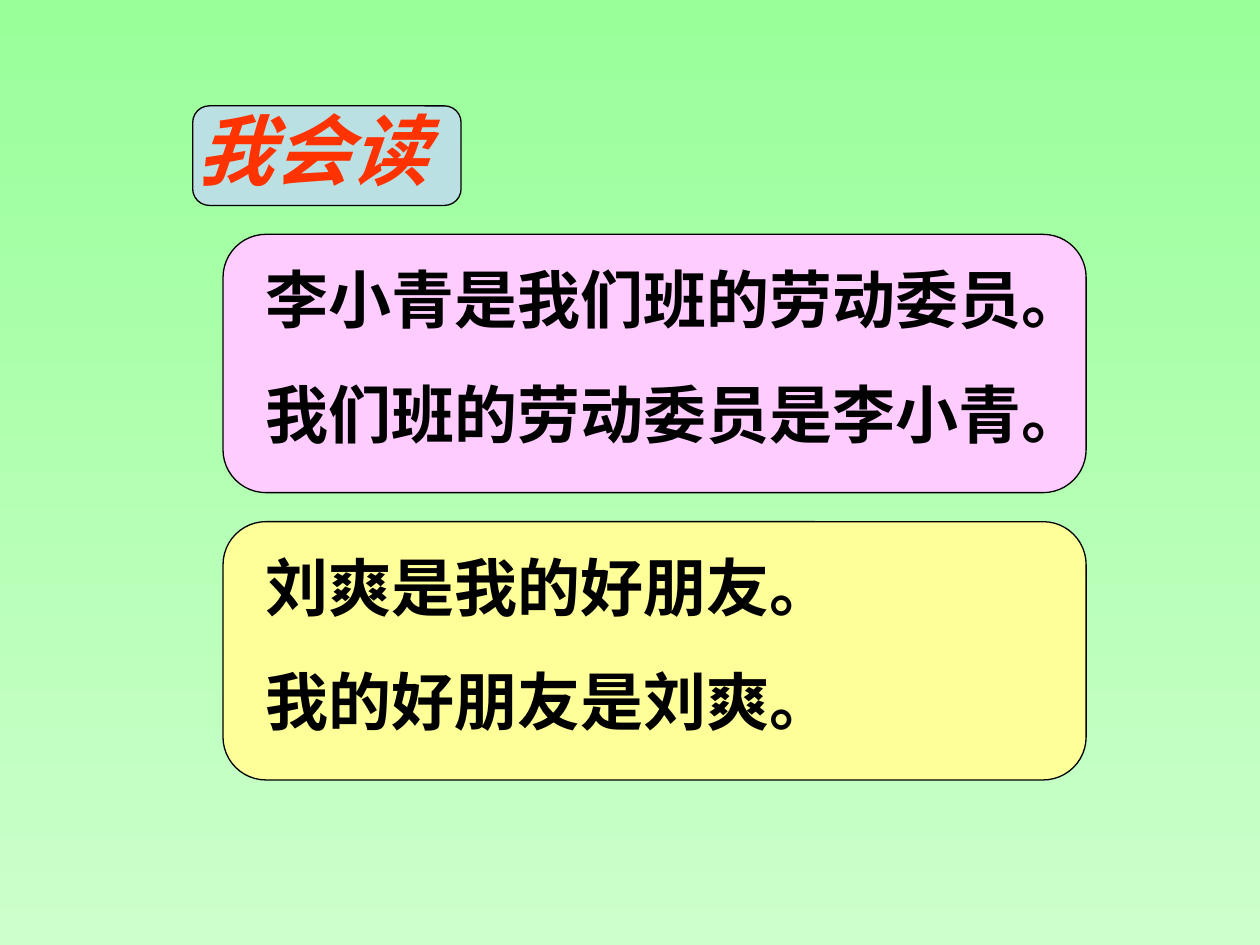
from dataclasses import dataclass

from pptx import Presentation
from pptx.dml.color import RGBColor
from pptx.enum.shapes import MSO_SHAPE
from pptx.enum.text import MSO_ANCHOR, MSO_AUTO_SIZE, PP_ALIGN
from pptx.shapes.autoshape import Shape
from pptx.slide import Slide
from pptx.text.text import TextFrame
from pptx.util import Inches, Pt


@dataclass(frozen=True)
class Theme:
    font: str = "Arial"
    title_size: int = 44
    body_size: int = 36
    body_gap: float = 22.5
    line_width: float = 0.75
    background_top: str = "99FF99"
    background_bottom: str = "CCFFCC"
    title: str = "FF3300"
    ink: str = "000000"
    badge: str = "BBE0E3"


@dataclass(frozen=True)
class Box:
    """A rectangle in inches."""
    left: float
    top: float
    width: float
    height: float

    def place(self) -> tuple:
        return tuple(Inches(n) for n in (self.left, self.top, self.width, self.height))


@dataclass(frozen=True)
class Panel:
    sentences: tuple[str, ...]
    fill: str


THEME = Theme()
TITLE_BOX = Box(1.46, 0.76, 2.13, 0.84)
BADGE_BOX = Box(1.53, 0.84, 2.13, 0.79)
FIRST_PANEL = Box(1.77, 1.86, 6.85, 2.05)
PANEL_PITCH = 2.28
TEXT_INDENT, TEXT_DROP = 0.24, 0.16
TEXT_WIDTH, TEXT_HEIGHT = 6.77, 1.62
PANELS = (
    Panel(("李小青是我们班的劳动委员。", "我们班的劳动委员是李小青。"), "FFCCFF"),
    Panel(("刘爽是我的好朋友。", "我的好朋友是刘爽。"), "FFFF99"),
)


def write_text(frame: TextFrame, lines: tuple[str, ...], *, size: float, color: str,
               italic: bool = False, gap: float = 0) -> None:
    frame.word_wrap = True
    frame.auto_size = MSO_AUTO_SIZE.NONE
    frame.vertical_anchor = MSO_ANCHOR.TOP
    for index, line in enumerate(lines):
        paragraph = frame.paragraphs[0] if index == 0 else frame.add_paragraph()
        paragraph.alignment = PP_ALIGN.LEFT
        paragraph.space_before = Pt(gap if index else 0)
        run = paragraph.add_run()
        run.text = line
        run.font.name = THEME.font
        run.font.size = Pt(size)
        run.font.bold = True
        run.font.italic = italic
        run.font.color.rgb = RGBColor.from_string(color)


def add_rounded_box(slide: Slide, box: Box, fill: str) -> Shape:
    shape = slide.shapes.add_shape(MSO_SHAPE.ROUNDED_RECTANGLE, *box.place())
    shape.shadow.inherit = False
    shape.fill.solid()
    shape.fill.fore_color.rgb = RGBColor.from_string(fill)
    shape.line.color.rgb = RGBColor.from_string(THEME.ink)
    shape.line.width = Pt(THEME.line_width)
    return shape


def paint_background(slide: Slide) -> None:
    fill = slide.background.fill
    fill.gradient()
    fill.gradient_angle = 270
    colors = (THEME.background_top, THEME.background_bottom)
    for stop, position, color in zip(fill.gradient_stops, (0, 1), colors):
        stop.position = position
        stop.color.rgb = RGBColor.from_string(color)


def add_title(slide: Slide, text: str) -> None:
    title = slide.shapes.title
    title.left, title.top, title.width, title.height = TITLE_BOX.place()
    write_text(title.text_frame, (text,), size=THEME.title_size,
               color=THEME.title, italic=True)
    badge = add_rounded_box(slide, BADGE_BOX, THEME.badge)
    title.element.addprevious(badge.element)


def add_panel(slide: Slide, panel: Panel, row: int) -> None:
    top = FIRST_PANEL.top + row * PANEL_PITCH
    box = Box(FIRST_PANEL.left, top, FIRST_PANEL.width, FIRST_PANEL.height)
    add_rounded_box(slide, box, panel.fill)
    text_box = Box(box.left + TEXT_INDENT, top + TEXT_DROP, TEXT_WIDTH, TEXT_HEIGHT)
    sentences = slide.shapes.add_textbox(*text_box.place())
    write_text(sentences.text_frame, panel.sentences, size=THEME.body_size,
               color=THEME.ink, gap=THEME.body_gap)


def main() -> None:
    presentation = Presentation()
    presentation.slide_width, presentation.slide_height = Inches(10), Inches(7.5)
    title_only = presentation.slide_layouts.get_by_name("Title Only")
    slide = presentation.slides.add_slide(title_only)
    paint_background(slide)
    add_title(slide, "我会读")
    for row, panel in enumerate(PANELS):
        add_panel(slide, panel, row)
    presentation.save("out.pptx")


if __name__ == "__main__":
    main()
